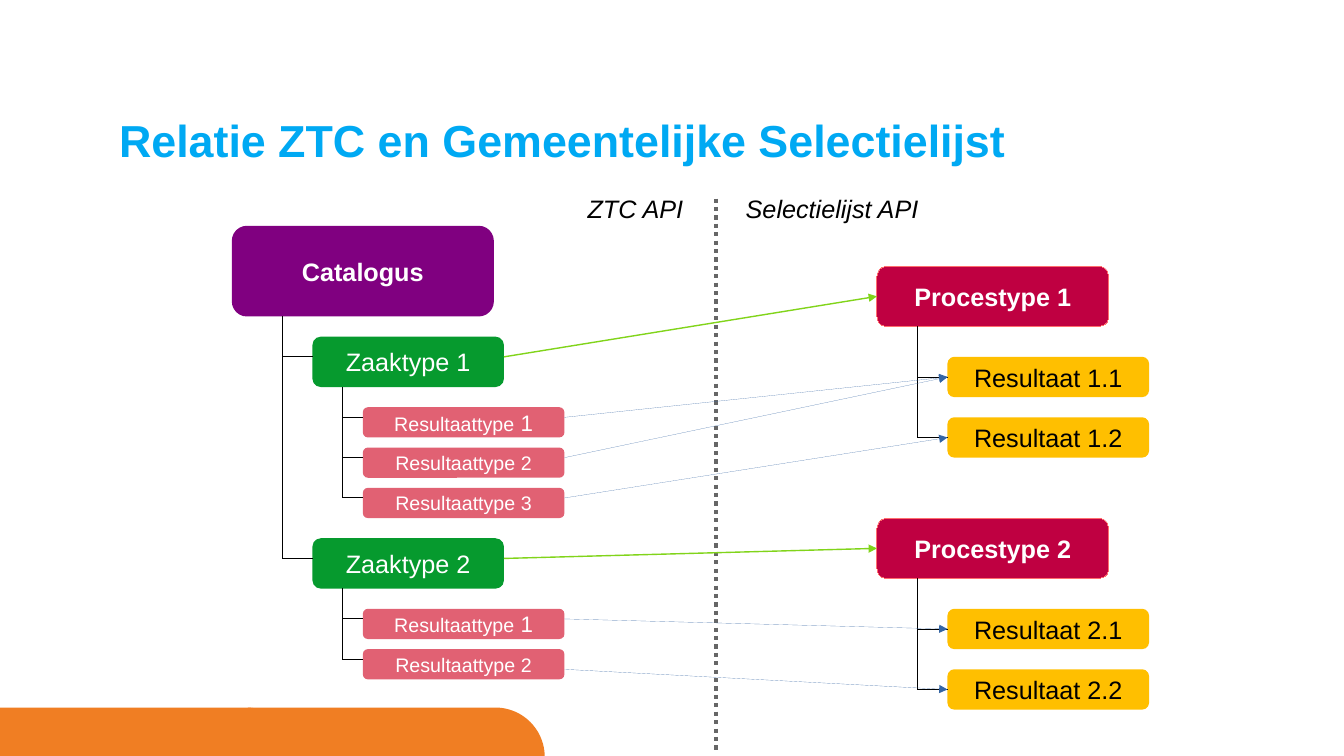
import math

import pptx
import pptx.dml.color
import pptx.enum.dml
import pptx.enum.shapes
import pptx.enum.text
import pptx.oxml
import pptx.oxml.ns
import pptx.util

Pt = pptx.util.Pt
FONT = "Arial"
COLOURS = {
    "title": "00A9F3",
    "footer": "F07E23",
    "catalogus": "800080",
    "zaaktype": "069A2E",
    "resultaattype": "E16173",
    "procestype": "BF0041",
    "procestype border": "FF6D6D",
    "resultaat": "FFBF00",
    "process link": "81D41A",
    "result link": "3465A4",
    "divider": "666666",
    "black": "000000",
    "white": "FFFFFF",
}


def rgb(name):
    return pptx.dml.color.RGBColor.from_string(COLOURS[name])


def drop_style(shape):
    """Remove the theme style, so that unset line widths stay hairlines."""
    style = shape._element.find(pptx.oxml.ns.qn("p:style"))
    if style is not None:
        shape._element.remove(style)


def add_span(para, text, size, colour, bold=False, italic=False):
    span = para.add_run()
    span.text = text
    span.font.name = FONT
    span.font.size = Pt(size)
    span.font.bold = bold
    span.font.italic = italic
    span.font.color.rgb = rgb(colour)


def set_title(slide, text):
    title = slide.shapes.title
    title.left, title.top, title.width, title.height = Pt(85), Pt(85), Pt(790), Pt(57)
    frame = title.text_frame
    frame.margin_left = frame.margin_right = frame.margin_top = frame.margin_bottom = 0
    frame.vertical_anchor = pptx.enum.text.MSO_ANCHOR.TOP
    frame.auto_size = pptx.enum.text.MSO_AUTO_SIZE.NONE
    frame.word_wrap = True
    para = frame.paragraphs[0]
    para.alignment = pptx.enum.text.PP_ALIGN.LEFT
    para.line_spacing = 0.9
    add_span(para, text, 32, "title", bold=True)


def add_footer_tab(slide, left):
    """Draw a band on the bottom edge whose top right corner is a quarter circle."""
    width, radius, bottom, steps = 212, 35.3, 540.7, 24
    centre = left + width - radius
    angles = [math.pi / 2 * (1 - step / steps) for step in range(steps + 1)]
    arc = [(Pt(centre + radius * math.cos(angle)), Pt(bottom - radius * math.sin(angle)))
           for angle in angles]
    outline = slide.shapes.build_freeform(Pt(left), Pt(bottom))
    outline.add_line_segments([(Pt(left), Pt(bottom - radius))] + arc, close=True)
    tab = outline.convert_to_shape()
    tab.shadow.inherit = False
    tab.fill.solid()
    tab.fill.fore_color.rgb = rgb("footer")
    tab.line.fill.background()


def add_box(slide, frame, fill, spans, colour="white", bold=False, border=None):
    """Draw a rounded box; spans is a list of (text, size)."""
    box = slide.shapes.add_shape(
        pptx.enum.shapes.MSO_SHAPE.ROUNDED_RECTANGLE, *[Pt(length) for length in frame])
    drop_style(box)
    box.shadow.inherit = False
    box.fill.solid()
    box.fill.fore_color.rgb = rgb(fill)
    if border:
        box.line.color.rgb = rgb(border)
    else:
        box.line.fill.background()
    box.text_frame.word_wrap = False
    box.text_frame.vertical_anchor = pptx.enum.text.MSO_ANCHOR.MIDDLE
    para = box.text_frame.paragraphs[0]
    para.alignment = pptx.enum.text.PP_ALIGN.CENTER
    for text, size in spans:
        add_span(para, text, size, colour, bold)
    return box


def add_line(slide, start, end, colour="black", width=None, dash=None, arrow=False, target=None):
    """Draw a straight line; with a target box it joins that box's left side."""
    line = slide.shapes.add_connector(
        pptx.enum.shapes.MSO_CONNECTOR.STRAIGHT, *[Pt(value) for value in (*start, *end)])
    drop_style(line)
    if target is not None:
        line.end_connect(target, 1)
    line.line.color.rgb = rgb(colour)
    if width:
        line.line.width = Pt(width)
    if dash:
        line.line.dash_style = dash
    if arrow:
        outline = line.line._get_or_add_ln()
        outline.append(pptx.oxml.parse_xml(
            f'<a:tailEnd {pptx.oxml.ns.nsdecls("a")} type="triangle"/>'))
    line._element.spPr.append(pptx.oxml.parse_xml(
        f'<a:effectLst {pptx.oxml.ns.nsdecls("a")}/>'))


def add_tree(slide, parent, children, trunk, drop, joined=False):
    """Link a parent to its children; branches lie at drop below each child's top."""
    heights = [child.top.pt + drop for child in children]
    add_line(slide, (trunk, (parent.top + parent.height) / 12700), (trunk, heights[-1]))
    for child, height in zip(children, heights):
        add_line(slide, (trunk, height), (child.left.pt, height),
                 target=child if joined else None)


def add_link(slide, source, target, drop, colour, width=None):
    start = ((source.left + source.width) / 12700, source.top.pt + drop)
    end = (target.left.pt, (target.top + target.height / 2) / 12700)
    add_line(slide, start, end, colour, width, arrow=True, target=target)


def add_label(slide, left, width, text):
    label = slide.shapes.add_textbox(Pt(left), Pt(134.6), Pt(width), Pt(28.8))
    label.text_frame.word_wrap = True
    label.text_frame.auto_size = pptx.enum.text.MSO_AUTO_SIZE.SHAPE_TO_FIT_TEXT
    add_span(label.text_frame.paragraphs[0], text, 18, "black", italic=True)


def add_zaaktype(slide, top, number, count):
    zaaktype = add_box(slide, (223.2, top, 136.8, 36), "zaaktype", [(f"Zaaktype {number}", 18)])
    results = []
    for index in range(count):
        if index == 0:
            spans = [("Resultaattype", 14), (" 1", 16)]
        else:
            spans = [(f"Resultaattype {index + 1}", 14)]
        frame = (259.2, top + 50.4 + 28.8 * index, 144, 21.6)
        results.append(add_box(slide, frame, "resultaattype", spans))
    add_tree(slide, zaaktype, results, 244.8, 7.2)
    return zaaktype, results


def add_procestype(slide, top, number):
    procestype = add_box(slide, (626.4, top, 165.6, 43.2), "procestype",
                         [(f"Procestype {number}", 18)], bold=True, border="procestype border")
    results = [add_box(slide, (676.8, top + 64.8 + 43.2 * index, 144, 28.8), "resultaat",
                       [(f"Resultaat {number}.{index + 1}", 18)], "black")
               for index in range(2)]
    add_tree(slide, procestype, results, 655.2, 14.4, joined=True)
    return procestype, results


def main():
    deck = pptx.Presentation()
    deck.slide_width, deck.slide_height = Pt(960), Pt(540)
    slide = deck.slides.add_slide(deck.slide_layouts[5])
    for left in (-0.7, 177.1):
        add_footer_tab(slide, left)
    set_title(slide, "Relatie ZTC en Gemeentelijke Selectielijst")

    catalogus = add_box(slide, (165.6, 161.3, 187.2, 64.8), "catalogus",
                        [("Catalogus", 18)], bold=True)
    zaaktype_1, types_1 = add_zaaktype(slide, 240.5, 1, 3)
    zaaktype_2, types_2 = add_zaaktype(slide, 384.5, 2, 2)
    add_tree(slide, catalogus, [zaaktype_1, zaaktype_2], 201.6, 14.4)
    procestype_1, results_1 = add_procestype(slide, 190.1, 1)
    procestype_2, results_2 = add_procestype(slide, 370.1, 2)

    add_line(slide, (511.2, 141.8), (511.2, 535.7), "divider", 3,
             pptx.enum.dml.MSO_LINE.ROUND_DOT)
    add_label(slide, 525.6, 230.4, "Selectielijst API")
    add_label(slide, 412.6, 95, "ZTC API")

    add_link(slide, zaaktype_1, procestype_1, 14.4, "process link", 1)
    add_link(slide, zaaktype_2, procestype_2, 14.4, "process link", 1)
    for source, target, drop in (
        (types_1[0], results_1[0], 7.2),
        (types_1[1], results_1[0], 7.2),
        (types_1[2], results_1[1], 7.2),
        (types_2[0], results_2[0], 7.2),
        (types_2[1], results_2[1], 14.4),
    ):
        add_link(slide, source, target, drop, "result link")
    deck.save("out.pptx")


if __name__ == "__main__":
    main()
